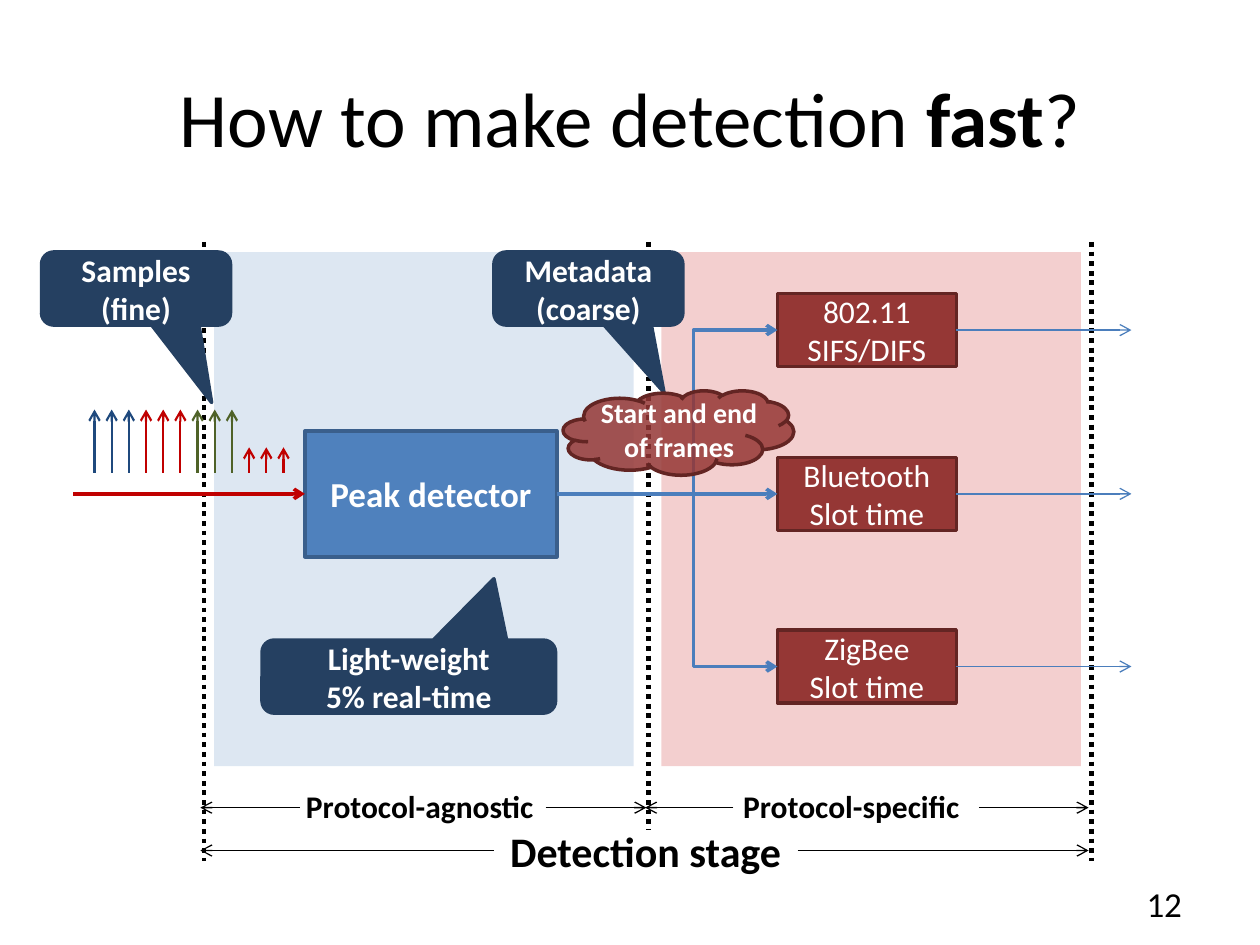
from lxml import etree
from pptx import Presentation
from pptx.dml.color import RGBColor
from pptx.enum.dml import MSO_LINE
from pptx.enum.shapes import MSO_CONNECTOR, MSO_SHAPE
from pptx.enum.text import MSO_ANCHOR, PP_ALIGN
from pptx.oxml.ns import qn
from pptx.util import Inches, Pt

STRAIGHT, ELBOW = MSO_CONNECTOR.STRAIGHT, MSO_CONNECTOR.ELBOW
RECT, CLOUD = MSO_SHAPE.RECTANGLE, MSO_SHAPE.CLOUD
CALLOUT = MSO_SHAPE.ROUNDED_RECTANGULAR_CALLOUT
LEFT, CENTER, RIGHT = PP_ALIGN.LEFT, PP_ALIGN.CENTER, PP_ALIGN.RIGHT
TOP, MIDDLE = MSO_ANCHOR.TOP, MSO_ANCHOR.MIDDLE
DOTTED = MSO_LINE.ROUND_DOT
TOP_SIDE, LEFT_SIDE, RIGHT_SIDE = 0, 1, 3
FONT = "Calibri"
COLORS = {
    "black": "000000", "white": "FFFFFF", "blue": "4F81BD", "blue_edge": "3A5F8C",
    "flow": "4B7EBC", "navy": "254061", "red": "C00000", "brick": "953735",
    "brick_edge": "632523", "sample_blue": "1F497D", "sample_green": "4F6228",
}


def color(name):
    """Return the named colour."""
    return RGBColor.from_string(COLORS[name])


def write(shape, lines, size=18, bold=False, ink="black", align=CENTER,
          anchor=MIDDLE, wrap=True):
    """Fill a shape with lines, each a string or a list of (text, bold) runs."""
    frame = shape.text_frame
    frame.word_wrap = wrap
    frame.vertical_anchor = anchor
    for index, line in enumerate(lines):
        paragraph = frame.add_paragraph() if index else frame.paragraphs[0]
        paragraph.alignment = align
        for text, heavy in [(line, bold)] if isinstance(line, str) else line:
            run = paragraph.add_run()
            run.text = text
            run.font.name = FONT
            run.font.size = Pt(size)
            run.font.bold = heavy
            run.font.color.rgb = color(ink)


def add_label(slide, box, lines, **style):
    """Place free text in a box."""
    write(slide.shapes.add_textbox(*map(Inches, box)), lines, **style)


def add_block(slide, kind, box, fill, edge=None, opacity=None):
    """Place a filled preset shape."""
    block = slide.shapes.add_shape(kind, *map(Inches, box))
    block.shadow.inherit = False
    block.fill.solid()
    block.fill.fore_color.rgb = color(fill)
    if opacity:
        tint = block.fill._xPr.find(qn("a:solidFill"))[0]
        etree.SubElement(tint, qn("a:alpha")).set("val", str(opacity * 1000))
    if edge:
        block.line.color.rgb = color(edge)
        block.line.width = Pt(2)
    else:
        block.line.fill.background()
    return block


def add_line(shapes, start, end, ink="black", width=0.75, kind=STRAIGHT,
             dash=None, arrow=True):
    """Draw a connector from start to end."""
    line = shapes.add_connector(kind, *map(Inches, (*start, *end)))
    line.line.color.rgb = color(ink)
    line.line.width = Pt(width)
    if dash:
        line.line.dash_style = dash
    if arrow:
        stroke = line.line._get_or_add_ln()
        etree.SubElement(stroke, qn("a:tailEnd")).set("type", "arrow")
    etree.SubElement(line._element.spPr, qn("a:effectLst"))
    return line


def add_callout(slide, box, lines, tip):
    """Place a navy speech bubble whose tip is given as shares of its size."""
    bubble = add_block(slide, CALLOUT, box, "navy", "navy")
    bubble.adjustments[0], bubble.adjustments[1] = tip
    write(bubble, lines, bold=True, ink="white")


def add_agnostic_stage(slide, box):
    """Draw the protocol-agnostic panel and return its peak detector."""
    left, top, _, _ = box
    add_block(slide, RECT, box, "blue", opacity=19)
    peak = add_block(slide, RECT, (left + 0.72, top + 1.42, 2, 1), "blue", "blue_edge")
    write(peak, ["Peak detector"], size=20, bold=True, ink="white")
    add_callout(slide, (left + 0.38, top + 3.08, 2.33, 0.58),
                ["Light-weight", "5% real-time"], (0.29, -1.34))
    return peak


def add_specific_stage(slide, box):
    """Draw the protocol-specific panel and return its detectors."""
    left, top, _, _ = box
    add_block(slide, RECT, box, "red", opacity=19)
    detectors = []
    for drop, lines in ((0.33, ["802.11", "SIFS/DIFS"]),
                        (1.63, ["Bluetooth", "Slot time"]),
                        (3, ["ZigBee", "Slot time"])):
        detector = add_block(slide, RECT, (left + 0.92, top + drop, 1.42, 0.58),
                             "brick", "brick_edge")
        write(detector, lines, ink="white")
        middle = top + drop + 0.29
        output = add_line(slide.shapes, (left + 2.34, middle), (left + 3.73, middle), "flow")
        output.begin_connect(detector, RIGHT_SIDE)
        detectors.append(detector)
    return detectors


def add_fan_out(slide, peak, detectors):
    """Join the peak detector to every protocol detector."""
    for detector, kind in zip(detectors, (ELBOW, STRAIGHT, ELBOW)):
        flow = add_line(slide.shapes, (0, 0), (1, 1), "flow", 2, kind)
        flow.begin_connect(peak, RIGHT_SIDE)
        flow.end_connect(detector, LEFT_SIDE)
        if kind == ELBOW:
            bends = flow._element.spPr.find(qn("a:prstGeom")).get_or_add_avLst()
            bend = etree.SubElement(bends, qn("a:gd"))
            bend.set("name", "adj1")
            bend.set("fmla", "val 62000")


def add_samples(slide, box, peak):
    """Draw the incoming sample stream and its callout."""
    left, top, width, height = box
    stream = add_line(slide.shapes, (left - 0.17, top + 0.67), (left + 1.67, top + 0.67), "red", 2)
    stream.end_connect(peak, LEFT_SIDE)
    samples = slide.shapes.add_group_shape().shapes
    runs = (("sample_blue", height), ("red", height), ("sample_green", height), ("red", 0.2))
    pitch = width / 11
    for index in range(12):
        ink, length = runs[index // 3]
        x, bottom = left + index * pitch, top + height
        add_line(samples, (x, bottom), (x, bottom - length), ink, 1.25)
    add_callout(slide, (left - 0.42, top - 1.25, 1.5, 0.58), ["Samples", "(fine)"], (0.4, 1.56))


def add_metadata(slide, box):
    """Draw the frame metadata cloud and its callout."""
    left, top, width, _ = box
    add_callout(slide, (left - 0.55, top - 1.1, 1.5, 0.58), ["Metadata", "(coarse)"], (0.4, 1.42))
    add_block(slide, CLOUD, box, "brick", "brick_edge", 85)
    add_label(slide, (left + 0.11, top - 0.01, width - 0.21, 0.64),
              ["Start and end of frames"], size=16, bold=True, ink="white", anchor=TOP)


def add_stage_spans(slide, box):
    """Draw the dotted stage borders and the labelled spans between them."""
    left, top, width, height = box
    right, middle, bottom = left + width, left + 3.53, top + height
    for x, end in ((left, bottom), (middle, bottom - 0.25), (right, bottom)):
        add_line(slide.shapes, (x, top), (x, end), width=2.75, dash=DOTTED, arrow=False)
    spans = (
        ("Protocol-agnostic", 18, (2.33, 6.2, 2.12, 0.4), left, 2.38, 4.33, middle, 6.41),
        ("Protocol-specific", 18, (5.8, 6.2, 2.12, 0.4), middle, 5.82, 7.77, right, 6.41),
        ("Detection stage", 24, (3.95, 6.5, 2.38, 0.5), left, 3.92, 6.33, right, 6.75),
    )
    for text, size, label_box, start, label_start, label_end, end, y in spans:
        add_label(slide, label_box, [text], size=size, bold=True, align=LEFT,
                  anchor=TOP, wrap=False)
        add_line(slide.shapes, (label_start, y), (start - 0.03, y))
        add_line(slide.shapes, (label_end, y), (end - 0.02, y))


def main():
    """Build the slide and save it."""
    deck = Presentation()
    deck.slide_width, deck.slide_height = Inches(10), Inches(7.5)
    slide = deck.slides.add_slide(deck.slide_layouts[6])
    add_label(slide, (0.5, 0.3, 9, 1.25),
              [[("How to make detection ", False), ("fast", True), ("?", False)]], size=44)
    add_label(slide, (7.15, 6.97, 2.33, 0.4), ["12"], size=20, align=RIGHT)
    add_stage_spans(slide, (1.62, 1.92, 7.04, 4.91))
    peak = add_agnostic_stage(slide, (1.7, 2, 3.33, 4.08))
    detectors = add_specific_stage(slide, (5.25, 2, 3.33, 4.08))
    add_fan_out(slide, peak, detectors)
    add_metadata(slide, (4.47, 3.1, 1.83, 0.67))
    add_samples(slide, (0.75, 3.25, 1.5, 0.5), peak)
    deck.save("out.pptx")


if __name__ == "__main__":
    main()
